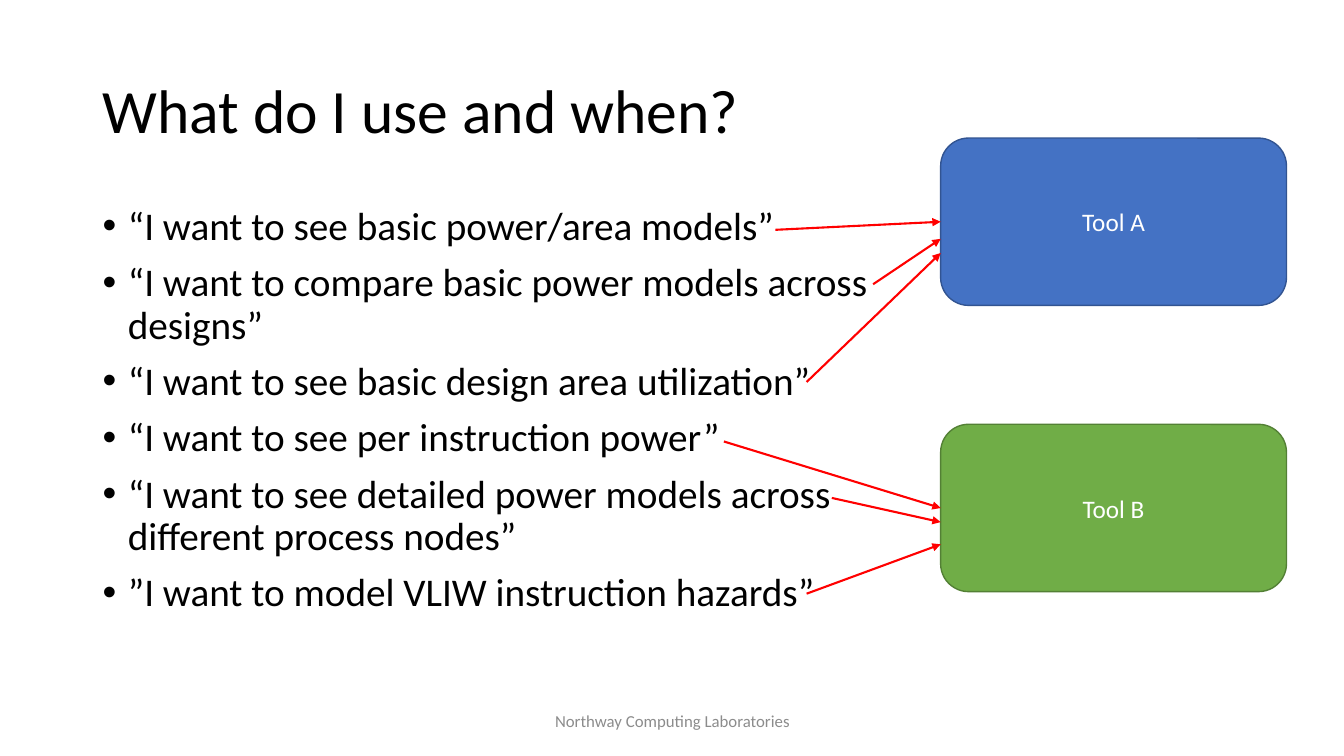
from lxml.etree import SubElement
from pptx import Presentation
from pptx.dml.color import RGBColor
from pptx.enum.shapes import MSO_CONNECTOR, MSO_SHAPE
from pptx.enum.text import MSO_ANCHOR, PP_ALIGN
from pptx.oxml.ns import qn
from pptx.util import Pt

TITLE = "What do I use and when?"
FOOTER = "Northway Computing Laboratories"
QUESTIONS = [
    "“I want to see basic power/area models”",
    "“I want to compare basic power models across designs”",
    "“I want to see basic design area utilization”",
    "“I want to see per instruction power”",
    "“I want to see detailed power models across different process nodes”",
    "”I want to model VLIW instruction hazards”",
]
TOOLS = [
    ("Tool A", 137, "4472C4", "325491"),
    ("Tool B", 421, "70AD47", "538035"),
]
ARROWS = [
    (769, 228, 220),
    (866, 282, 237),
    (800, 379, 251),
    (718, 438, 504),
    (825, 494, 518),
    (800, 589, 540),
]
TOOL_LEFT, TOOL_WIDTH, TOOL_HEIGHT = 933, 343, 166
FONT = "Calibri"
EMU_PER_PX = 9144


def px(length):
    return length * EMU_PER_PX


def color(value):
    return RGBColor.from_string(value)


def write(shape, *lines, size, ink="000000", align=PP_ALIGN.LEFT,
          anchor=MSO_ANCHOR.MIDDLE, spacing=1.0, before=0, indent=0):
    frame = shape.text_frame
    frame.word_wrap = True
    frame.vertical_anchor = anchor
    for index, line in enumerate(lines):
        para = frame.add_paragraph() if index else frame.paragraphs[0]
        para.alignment = align
        para.line_spacing = spacing
        para.space_before = Pt(before)
        if indent:
            properties = para._p.get_or_add_pPr()
            properties.set("marL", str(px(indent)))
            properties.set("indent", str(-px(indent)))
            SubElement(properties, qn("a:buFont"), typeface="Arial")
            SubElement(properties, qn("a:buChar"), char="•")
        span = para.add_run()
        span.text = line
        span.font.name = FONT
        span.font.size = Pt(size)
        span.font.color.rgb = color(ink)


def add_text(page, left, top, width, height, *lines, **style):
    box = page.shapes.add_textbox(px(left), px(top), px(width), px(height))
    write(box, *lines, **style)


def add_tool(page, name, top, fill, line):
    box = page.shapes.add_shape(MSO_SHAPE.ROUNDED_RECTANGLE, px(TOOL_LEFT),
                                px(top), px(TOOL_WIDTH), px(TOOL_HEIGHT))
    box.shadow.inherit = False
    box.fill.solid()
    box.fill.fore_color.rgb = color(fill)
    box.line.color.rgb = color(line)
    box.line.width = Pt(1)
    write(box, name, size=18, ink="FFFFFF", align=PP_ALIGN.CENTER)


def add_arrow(page, start, start_y, end_y):
    arrow = page.shapes.add_connector(MSO_CONNECTOR.STRAIGHT, px(start),
                                      px(start_y), px(TOOL_LEFT), px(end_y))
    arrow.line.color.rgb = color("FF0000")
    arrow.line.width = Pt(1.5)
    SubElement(arrow.line._get_or_add_ln(), qn("a:tailEnd"), type="triangle")
    SubElement(arrow._element.spPr, qn("a:effectLst"))


def main():
    deck = Presentation()
    deck.slide_width, deck.slide_height = px(1333), px(750)
    page = deck.slides.add_slide(deck.slide_layouts[6])
    add_text(page, 92, 40, 1150, 145, TITLE, size=44, spacing=0.9)
    add_text(page, 92, 200, 782, 476, *QUESTIONS, size=28, spacing=0.9,
             before=10, indent=25, anchor=MSO_ANCHOR.TOP)
    add_text(page, 442, 695, 450, 40, FOOTER, size=12, ink="8C8C8C",
             align=PP_ALIGN.CENTER)
    for tool in TOOLS:
        add_tool(page, *tool)
    for arrow in ARROWS:
        add_arrow(page, *arrow)
    deck.save("out.pptx")


if __name__ == "__main__":
    main()
